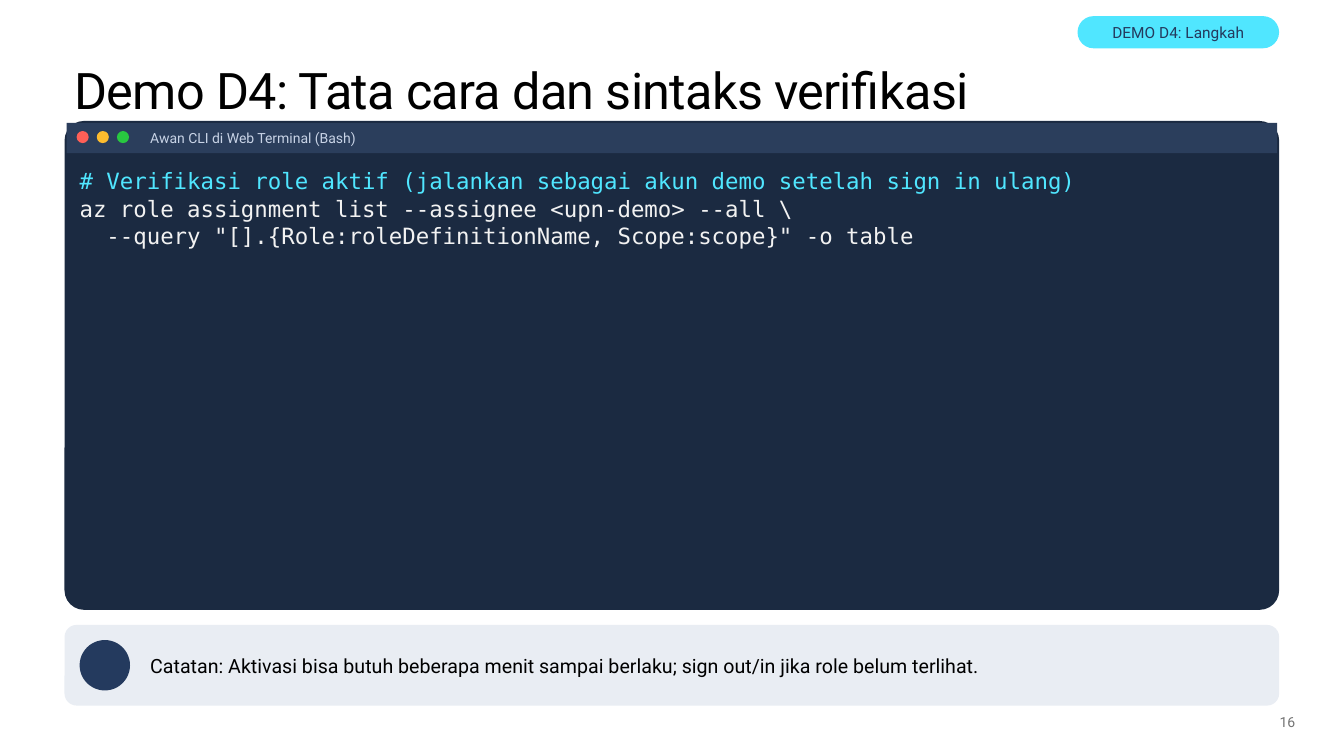
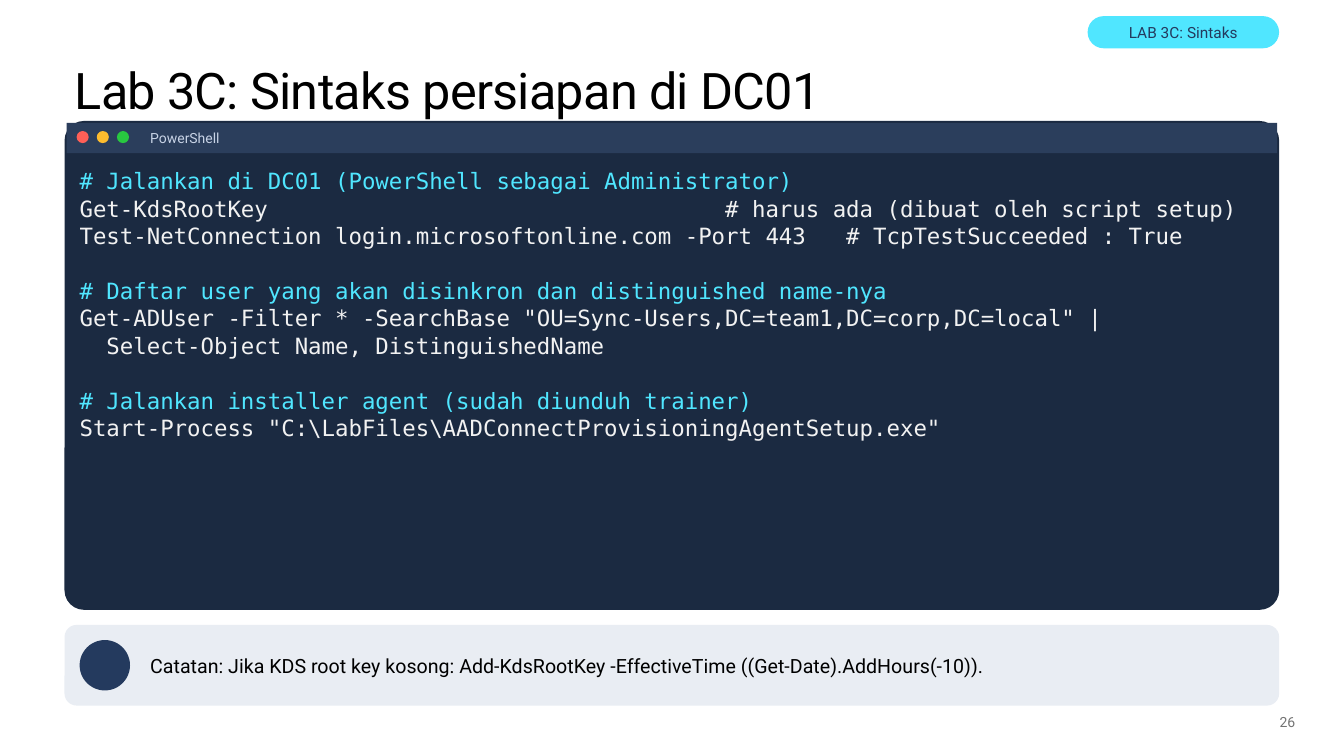
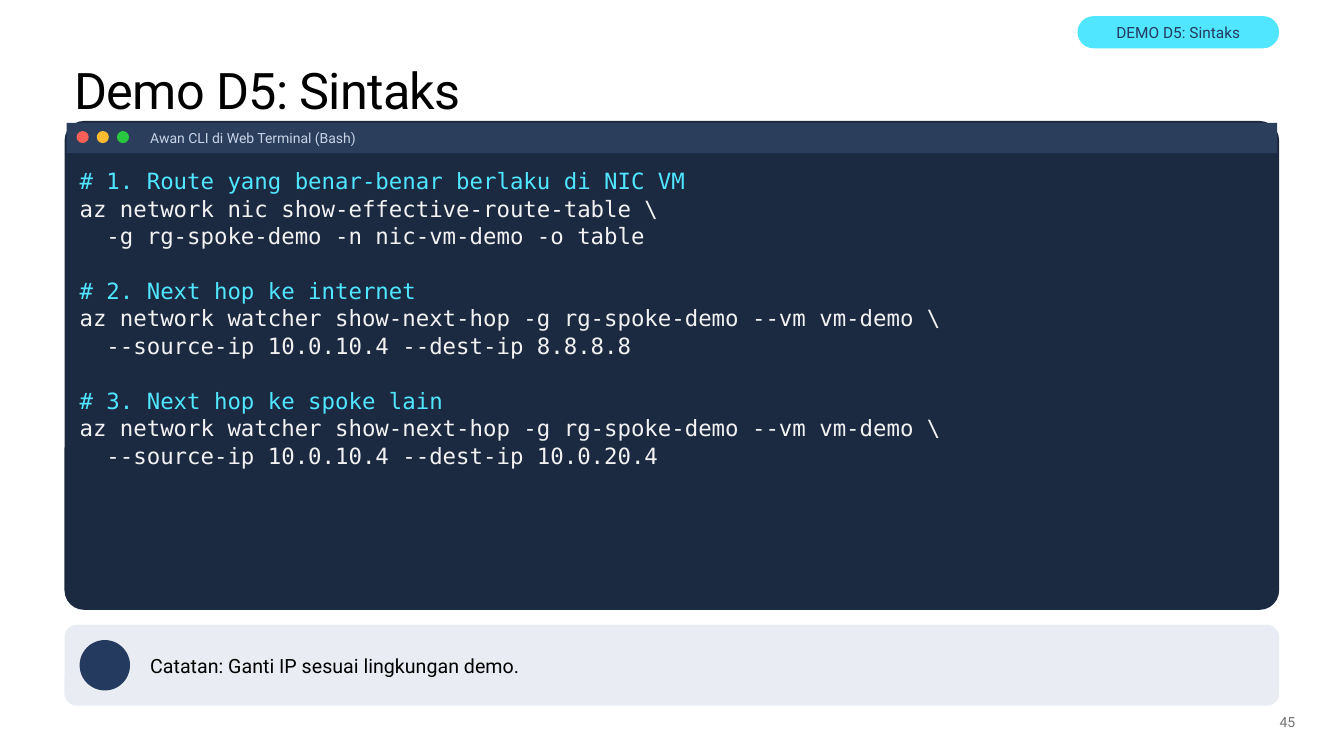
from dataclasses import dataclass

from pptx import Presentation
from pptx.dml.color import RGBColor as RGB
from pptx.enum.shapes import MSO_SHAPE as Form
from pptx.enum.text import MSO_ANCHOR as Anchor, MSO_AUTO_SIZE as Fit, PP_ALIGN as Align
from pptx.util import Pt

SHELL = "Awan CLI di Web Terminal (Bash)"

SLIDES = [
    dict(
        title="Demo D4: Tata cara dan sintaks verifikasi",
        tag="DEMO D4: Langkah", wide=144, page=16, shell=SHELL,
        code=[
            ["# Verifikasi role aktif (jalankan sebagai akun demo setelah sign in ulang)",
             "az role assignment list --assignee <upn-demo> --all \\",
             '  --query "[].{Role:roleDefinitionName, Scope:scope}" -o table'],
        ],
        note="Catatan: Aktivasi bisa butuh beberapa menit sampai berlaku; "
             "sign out/in jika role belum terlihat.",
    ),
    dict(
        title="Lab 3C: Sintaks persiapan di DC01",
        tag="LAB 3C: Sintaks", wide=136.8, page=26, shell="PowerShell",
        code=[
            ["# Jalankan di DC01 (PowerShell sebagai Administrator)",
             "Get-KdsRootKey                                  # harus ada (dibuat oleh script setup)",
             "Test-NetConnection login.microsoftonline.com -Port 443   # TcpTestSucceeded : True"],
            ["# Daftar user yang akan disinkron dan distinguished name-nya",
             'Get-ADUser -Filter * -SearchBase "OU=Sync-Users,DC=team1,DC=corp,DC=local" |',
             "  Select-Object Name, DistinguishedName"],
            ["# Jalankan installer agent (sudah diunduh trainer)",
             'Start-Process "C:\\LabFiles\\AADConnectProvisioningAgentSetup.exe"'],
        ],
        note="Catatan: Jika KDS root key kosong: "
             "Add-KdsRootKey -EffectiveTime ((Get-Date).AddHours(-10)).",
    ),
    dict(
        title="Demo D5: Sintaks",
        tag="DEMO D5: Sintaks", wide=144, page=45, shell=SHELL,
        code=[
            ["# 1. Route yang benar-benar berlaku di NIC VM",
             "az network nic show-effective-route-table \\",
             "  -g rg-spoke-demo -n nic-vm-demo -o table"],
            ["# 2. Next hop ke internet",
             "az network watcher show-next-hop -g rg-spoke-demo --vm vm-demo \\",
             "  --source-ip 10.0.10.4 --dest-ip 8.8.8.8"],
            ["# 3. Next hop ke spoke lain",
             "az network watcher show-next-hop -g rg-spoke-demo --vm vm-demo \\",
             "  --source-ip 10.0.10.4 --dest-ip 10.0.20.4"],
        ],
        note="Catatan: Ganti IP sesuai lingkungan demo.",
    ),
]


@dataclass(frozen=True)
class Theme:
    sans: str = "Roboto"
    mono: str = "DejaVu Sans Mono"
    ink: str = "000000"
    navy: str = "243A5E"
    cyan: str = "50E6FF"
    panel: str = "1B2A41"
    bar: str = "2B3E5C"
    label: str = "C8D3E6"
    plain: str = "F2F2F2"
    pale: str = "E9EDF3"
    gray: str = "737373"
    dots: tuple = ("FF5F57", "FEBC2E", "28C840")
    head: int = 36
    code: int = 16
    body: int = 14
    tag: int = 11
    small: int = 10
    pitch: float = 1.03
    gap: float = 19.2


T = Theme()
LEFT, WIDE = 46.1, 867.6
RIGHT = LEFT + WIDE
INNER, INDENT = 54.7, 103.7
PANEL, NOTE = 86.4, 446.4
BAR = PANEL + 1.44


def place(shape, x, y, w, h):
    shape.left, shape.top, shape.width, shape.height = Pt(x), Pt(y), Pt(w), Pt(h)


def style(para, text, size, color, font=T.sans, align=Align.LEFT, track=0):
    para.alignment = align
    run = para.add_run()
    run.text = text
    run.font.size, run.font.name = Pt(size), font
    run.font.color.rgb = RGB.from_string(color)
    if track:
        run.font._element.set("spc", str(int(track * 100)))


def setup(frame, pad, anchor=Anchor.TOP):
    frame.word_wrap, frame.auto_size = True, Fit.NONE
    frame.vertical_anchor = anchor
    (frame.margin_left, frame.margin_top,
     frame.margin_right, frame.margin_bottom) = [Pt(n) for n in pad]


def write(slide, text, at, pad=(3.6, 2.16, 3.6, 2.16), anchor=Anchor.MIDDLE, **form):
    box = slide.shapes.add_textbox(*[Pt(n) for n in at])
    setup(box.text_frame, pad, anchor)
    style(box.text_frame.paragraphs[0], text, **form)


def draw(slide, form, at, fill, round=None):
    shape = slide.shapes.add_shape(form, *[Pt(n) for n in at])
    shape.shadow.inherit = False
    shape.fill.solid()
    shape.fill.fore_color.rgb = RGB.from_string(fill)
    shape.line.fill.background()
    if round is not None:
        shape.adjustments[0] = round
    return shape


def header(slide, data):
    title = slide.shapes.title
    place(title, LEFT, 36, WIDE, 43.9)
    setup(title.text_frame, (7.2, 6.3, 7.2, 0))
    style(title.text_frame.paragraphs[0], data["title"], T.head, T.ink, track=-0.5)
    write(slide, str(data["page"]), (874.8, 507.6, 54, 21.6), anchor=Anchor.TOP,
          size=T.small, color=T.gray, align=Align.RIGHT)
    wide = data["wide"]
    pill = draw(slide, Form.ROUNDED_RECTANGLE, (RIGHT - wide, 11.5, wide, 23), T.cyan, 0.5)
    setup(pill.text_frame, (7.2, 0, 7.2, 0), Anchor.MIDDLE)
    style(pill.text_frame.paragraphs[0], data["tag"], T.tag, T.navy, align=Align.CENTER)


def console(slide, data):
    draw(slide, Form.ROUNDED_RECTANGLE, (LEFT, PANEL, WIDE, 349.2), T.panel, 0.04)
    draw(slide, Form.RECTANGLE, (LEFT + 1.44, BAR, WIDE - 2.88, 21.6), T.bar)
    for i, color in enumerate(T.dots):
        draw(slide, Form.OVAL, (INNER + 14.4 * i, 93.6, 8.64, 8.64), color)
    write(slide, data["shell"], (INDENT, BAR, 795.6, 21.6), size=T.small, color=T.label)
    box = slide.shapes.add_textbox(Pt(INNER), Pt(115.2), Pt(850.3), Pt(314.6))
    frame = box.text_frame
    setup(frame, (2.16, 3.6, 2.16, 3.6))
    for b, block in enumerate(data["code"]):
        for i, line in enumerate(block):
            first = b == i == 0
            para = frame.paragraphs[0] if first else frame.add_paragraph()
            para.line_spacing = T.pitch
            if b and i == 0:
                para.space_before = Pt(T.gap)
            color = T.cyan if line.startswith("#") else T.plain
            style(para, line, T.code, color, font=T.mono)


def footer(slide, data):
    draw(slide, Form.ROUNDED_RECTANGLE, (LEFT, NOTE, WIDE, 57.6), T.pale, 0.15)
    draw(slide, Form.OVAL, (LEFT + 10.8, NOTE + 10.8, 36, 36), T.navy)
    write(slide, data["note"], (INDENT, NOTE, 799.2, 57.6), size=T.body, color=T.ink)


def main():
    deck = Presentation()
    deck.slide_width, deck.slide_height = Pt(960), Pt(540)
    for data in SLIDES:
        slide = deck.slides.add_slide(deck.slide_layouts[5])
        for part in (header, console, footer):
            part(slide, data)
    deck.save("out.pptx")


if __name__ == "__main__":
    main()
